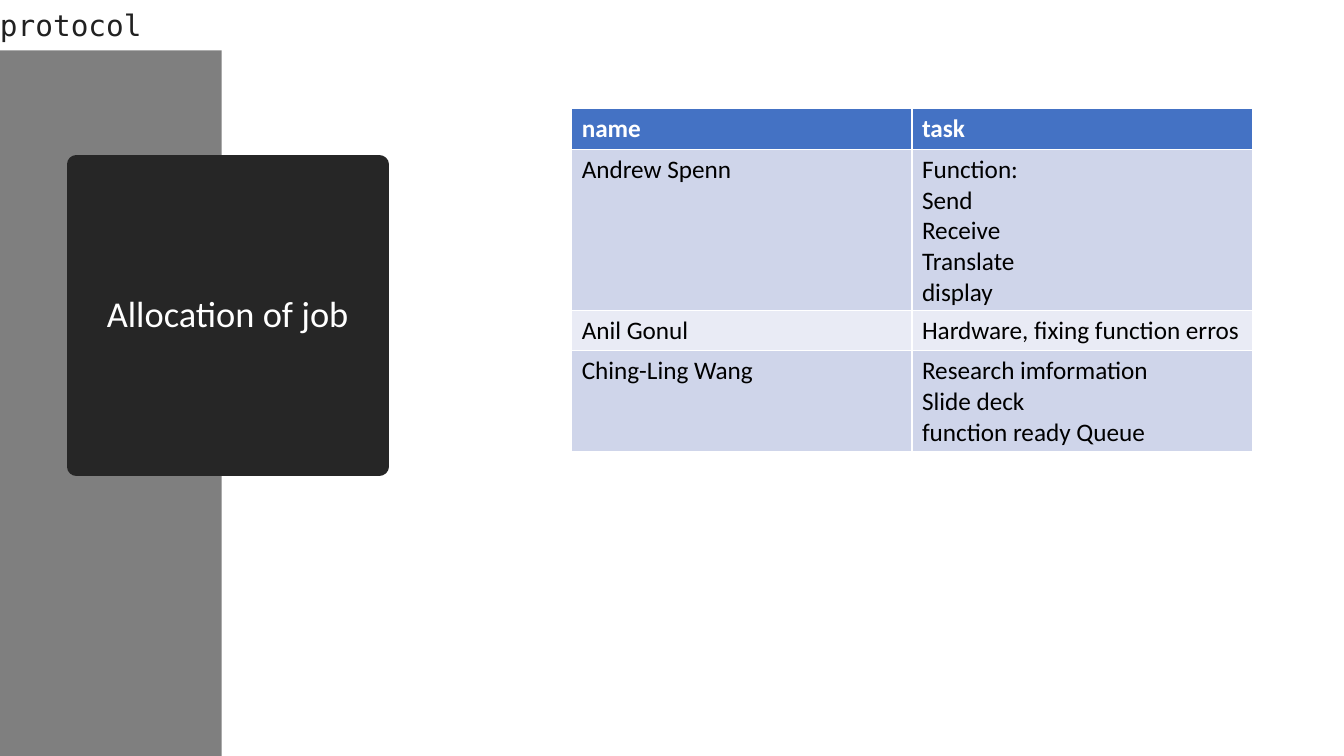
from dataclasses import dataclass

from pptx import Presentation
from pptx.dml.color import RGBColor
from pptx.enum.shapes import MSO_SHAPE
from pptx.enum.text import MSO_ANCHOR, MSO_AUTO_SIZE, PP_ALIGN
from pptx.oxml import parse_xml
from pptx.oxml.ns import nsdecls
from pptx.util import Inches, Pt

RECT = MSO_SHAPE.RECTANGLE
MIDDLE = MSO_ANCHOR.MIDDLE
CENTER = PP_ALIGN.CENTER
LEFT = PP_ALIGN.LEFT
NO_FIT = MSO_AUTO_SIZE.NONE
GROW = MSO_AUTO_SIZE.SHAPE_TO_FIT_TEXT
TITLE_ONLY = 5


@dataclass(frozen=True)
class Theme:
    sans: str = "Calibri"
    mono: str = "DejaVu Sans Mono"
    white: str = "FFFFFF"
    black: str = "000000"
    ink: str = "212121"
    rail: str = "7F7F7F"
    badge: str = "262626"
    head: str = "4472C4"
    bands: tuple[str, str] = ("CFD5EA", "E9EBF5")
    title_size: float = 26
    label_size: float = 21
    table_size: float = 18
    badge_line: float = 13.75


@dataclass(frozen=True)
class Job:
    name: str
    tasks: tuple[str, ...]


@dataclass(frozen=True)
class Box:
    left: float
    top: float
    width: float
    height: float

    def place(self):
        return [Inches(n) for n in (self.left, self.top, self.width, self.height)]


THEME = Theme()
PAGE = Box(0, 0, 13.33, 7.5)
RAIL = Box(0, 0, 2.2, 7.5)
BADGE = Box(0.76, 1.63, 3, 3)
LABEL = Box(0, 0, 13.33, 0.5)
TABLE = Box(5.67, 1.08, 6.75, 3.4)
ROW_PAD, LINE = 0.1, 0.3

HEAD = Job("name", ("task",))
JOBS = (
    Job("Andrew Spenn", ("Function:", "Send", "Receive", "Translate", "display")),
    Job("Anil Gonul", ("Hardware, fixing function erros",)),
    Job("Ching-Ling Wang",
        ("Research imformation", "Slide deck", "function ready Queue")),
)


def paint(fill, color: str) -> None:
    fill.solid()
    fill.fore_color.rgb = RGBColor.from_string(color)


def write(frame, lines: tuple[str, ...], face: str, size: float, color: str,
          bold: bool = False, align=LEFT) -> None:
    frame.text = "\n".join(lines)
    for para in frame.paragraphs:
        para.alignment = align
        font = para.font
        font.name, font.size, font.bold = face, Pt(size), bold
        font.color.rgb = RGBColor.from_string(color)


def add_rail(slide) -> None:
    rail = slide.shapes.add_shape(RECT, *RAIL.place())
    rail.shadow.inherit = False
    paint(rail.fill, THEME.rail)
    rail.line.fill.background()
    slide.shapes.title.element.addprevious(rail.element)


def set_title(slide, text: str) -> None:
    title = slide.shapes.title
    title.left, title.top, title.width, title.height = BADGE.place()
    title.element.spPr.append(parse_xml(
        f'<a:prstGeom {nsdecls("a")} prst="ellipse"><a:avLst/></a:prstGeom>'))
    paint(title.fill, THEME.badge)
    paint(title.line.fill, THEME.badge)
    title.line.width = Pt(THEME.badge_line)
    frame = title.text_frame
    write(frame, (text,), THEME.sans, THEME.title_size, THEME.white, align=CENTER)
    frame.paragraphs[0].line_spacing = 0.9
    frame.vertical_anchor = MIDDLE
    frame.auto_size = NO_FIT


def add_label(slide, text: str) -> None:
    label = slide.shapes.add_textbox(*LABEL.place())
    paint(label.fill, THEME.white)
    frame = label.text_frame
    frame.margin_left = frame.margin_right = 0
    frame.margin_top = frame.margin_bottom = 0
    frame.vertical_anchor = MIDDLE
    frame.word_wrap = False
    frame.auto_size = GROW
    write(frame, (text,), THEME.mono, THEME.label_size, THEME.ink)


def add_jobs(slide) -> None:
    jobs = (HEAD, *JOBS)
    table = slide.shapes.add_table(len(jobs), 2, *TABLE.place()).table
    for i, job in enumerate(jobs):
        row = table.rows[i]
        row.height = Inches(ROW_PAD + LINE * len(job.tasks))
        is_head = i == 0
        fill = THEME.head if is_head else THEME.bands[(i - 1) % 2]
        color = THEME.white if is_head else THEME.black
        for cell, lines in zip(row.cells, ((job.name,), job.tasks)):
            paint(cell.fill, fill)
            write(cell.text_frame, lines, THEME.sans, THEME.table_size,
                  color, bold=is_head)


def main() -> None:
    deck = Presentation()
    deck.slide_width, deck.slide_height = Inches(PAGE.width), Inches(PAGE.height)
    slide = deck.slides.add_slide(deck.slide_layouts[TITLE_ONLY])
    paint(slide.background.fill, THEME.white)
    add_rail(slide)
    set_title(slide, "Allocation of job")
    add_label(slide, "protocol")
    add_jobs(slide)
    deck.save("out.pptx")


if __name__ == "__main__":
    main()
